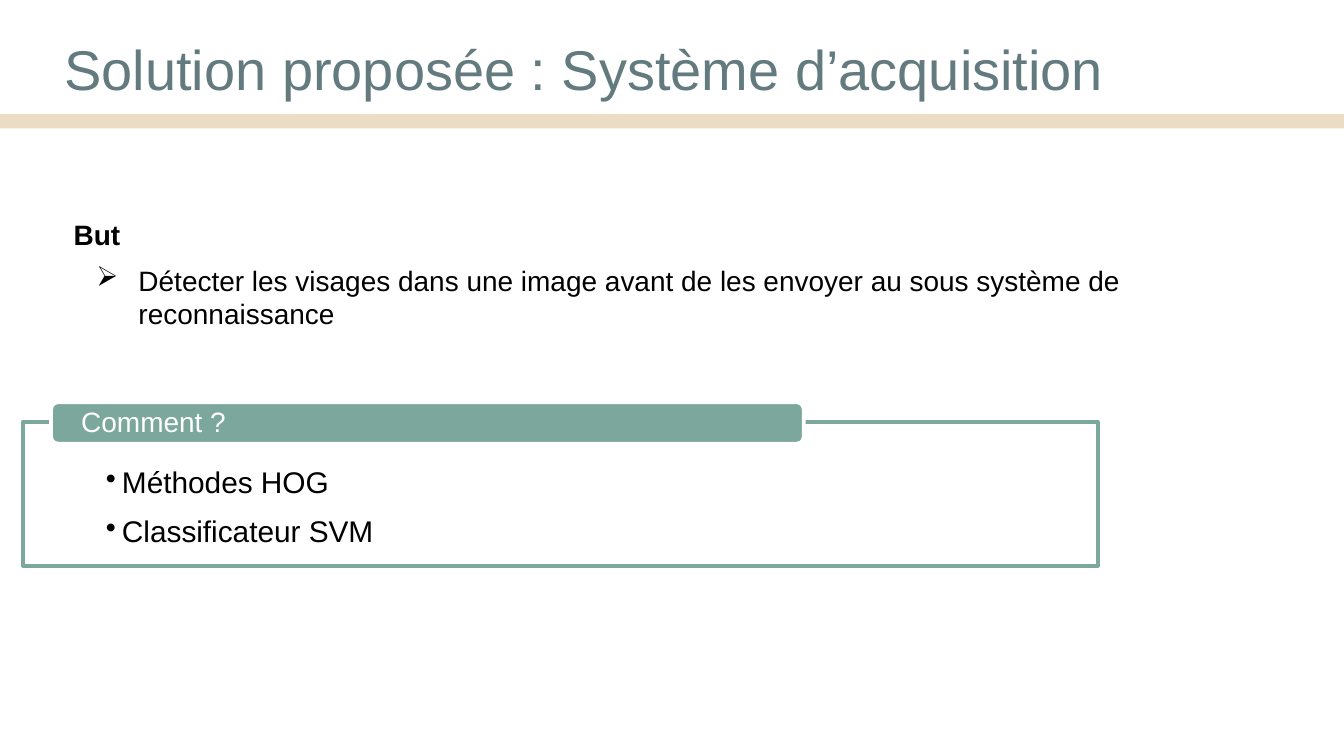
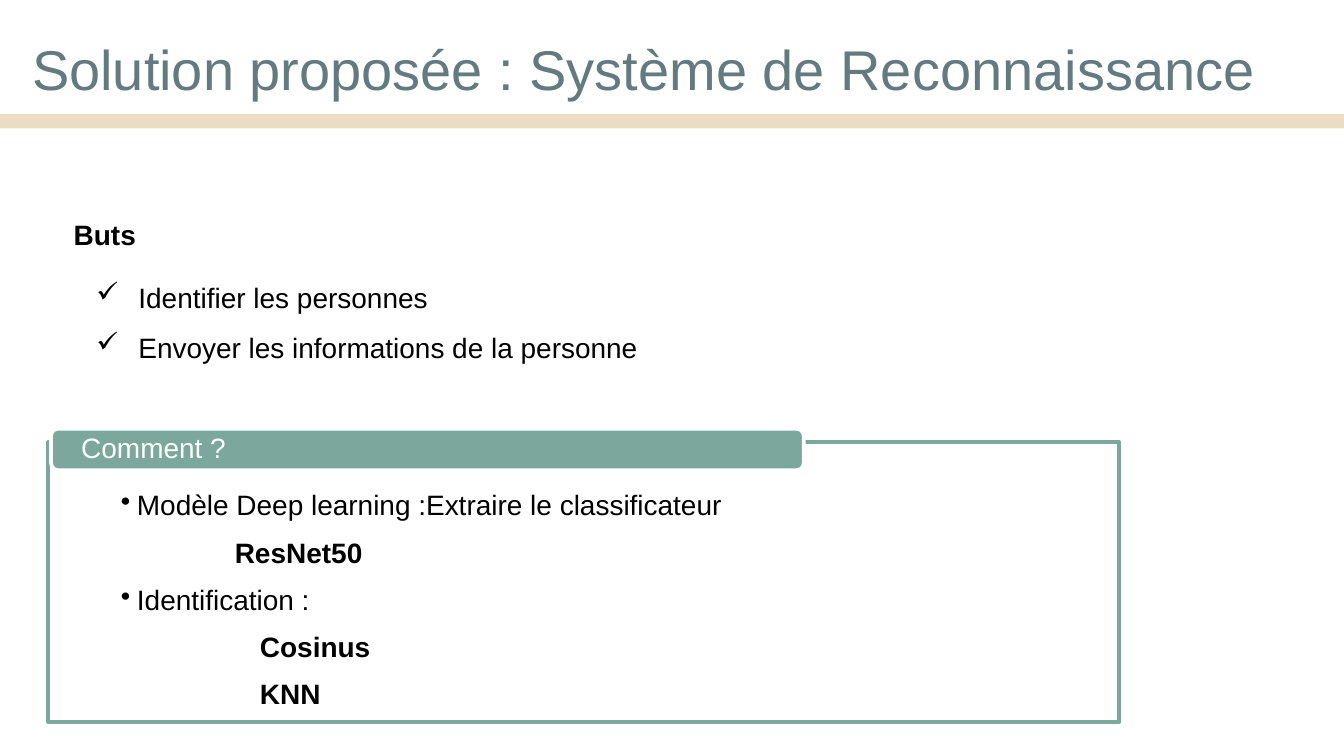
"""Build two slides on a face recognition solution."""
from dataclasses import dataclass

from lxml.etree import SubElement
from pptx import Presentation
from pptx.dml.color import RGBColor
from pptx.enum.shapes import MSO_SHAPE
from pptx.enum.text import MSO_ANCHOR
from pptx.oxml.ns import qn
from pptx.util import Pt


@dataclass(frozen=True)
class Theme:
    """Hold the colours, font and type sizes."""
    font: str = "Arial"
    ink: str = "000000"
    paper: str = "FFFFFF"
    heading: str = "637B7F"
    band: str = "EBDDC3"
    accent: str = "7BA79D"
    title_size: int = 30
    text_size: int = 15
    method_size: int = 16


THEME = Theme()


def write(frame, text, size=THEME.text_size, color=THEME.ink, bold=False, bullet=None,
          margin=0, hanging=0, line=1.0, before=0, after=0):
    """Write one formatted paragraph into a text frame."""
    para = frame.paragraphs[0]
    if para.runs:
        para = frame.add_paragraph()
    para.line_spacing = line
    para.space_before, para.space_after = Pt(before), Pt(after)
    span = para.add_run()
    span.text = text
    span.font.name, span.font.size, span.font.bold = THEME.font, Pt(size), bold
    span.font.color.rgb = RGBColor.from_string(color)
    properties = para._p.get_or_add_pPr()
    properties.set("marL", str(Pt(margin)))
    properties.set("indent", str(Pt(-hanging)))
    if bullet:
        SubElement(properties, qn("a:buChar"), char=bullet)
    else:
        SubElement(properties, qn("a:buNone"))


class Slides:
    """Hold the deck, its style and the current page."""

    def __init__(self, theme):
        """Start an empty widescreen deck."""
        self.theme = theme
        self.deck = Presentation()
        self.deck.slide_width, self.deck.slide_height = Pt(720), Pt(405)
        self.page = None

    def open_page(self, title, left, width):
        """Add a page with its band and title."""
        self.page = self.deck.slides.add_slide(self.deck.slide_layouts[6])
        self.shape(MSO_SHAPE.RECTANGLE, (0, 61.2, 720, 7.6), self.theme.band)
        frame = self.text((left, 8.6, width, 45.4), (7.2, 10, 7.2, 0))
        write(frame, title, size=self.theme.title_size, color=self.theme.heading)

    def shape(self, kind, place, fill, line=None, opacity=None):
        """Draw a filled shape with an optional outline."""
        box = self.page.shapes.add_shape(kind, *map(Pt, place))
        box.shadow.inherit = False
        box.fill.solid()
        box.fill.fore_color.rgb = RGBColor.from_string(fill)
        if opacity:
            color = box.fill._xPr.find(qn("a:solidFill"))[0]
            SubElement(color, qn("a:alpha"), val=str(opacity * 1000))
        if line:
            box.line.color.rgb = RGBColor.from_string(line)
            box.line.width = Pt(2)
        else:
            box.line.fill.background()

    def text(self, place, insets=(7.2, 3.6, 7.2, 3.6), anchor=MSO_ANCHOR.TOP, wrap=True):
        """Add an empty text box and return its frame."""
        frame = self.page.shapes.add_textbox(*map(Pt, place)).text_frame
        frame.word_wrap, frame.vertical_anchor = wrap, anchor
        (frame.margin_left, frame.margin_top,
         frame.margin_right, frame.margin_bottom) = map(Pt, insets)
        return frame

    def goals(self, heading, items, bullet, width, height, line=1.0):
        """Write a bold heading with its bulleted goals."""
        frame = self.text((32.4, 113, 60, 25.2), wrap=False)
        write(frame, heading, bold=True)
        frame = self.text((44.6, 137.5, width, height))
        for item in items:
            write(frame, item, bullet=bullet, margin=22.5, hanging=22.5, line=line)

    def methods(self, panel, place, label_top, items, size):
        """Draw a labelled panel listing (text, indent) items, bold when indented."""
        self.shape(MSO_SHAPE.RECTANGLE, panel, self.theme.paper, self.theme.accent, opacity=90)
        frame = self.text(place, (44.6, 24.5, 44.6, 8.6))
        for item, indent in items:
            write(frame, item, size=size, bold=indent > 0, bullet=None if indent else "•",
                  margin=indent or 8.6, hanging=0 if indent else 8.6,
                  line=0.9, before=6, after=3)
        self.shape(MSO_SHAPE.ROUNDED_RECTANGLE, (27.4, label_top, 403.2, 22.2),
                   self.theme.accent, self.theme.paper)
        frame = self.text((28.4, label_top + 1, 401, 20.2), (15.1, 0, 15.1, 0),
                          anchor=MSO_ANCHOR.MIDDLE)
        write(frame, "Comment ?", color=self.theme.paper, line=0.9)


def main():
    """Build both pages and save the deck."""
    slides = Slides(THEME)

    slides.open_page("Solution proposée : Système d’acquisition", 27.4, 671.8)
    slides.goals("But", ["Détecter les visages dans une image avant de les envoyer "
                         "au sous système de reconnaissance"], "➢", 625.7, 77.8)
    slides.methods((12.2, 226.1, 576, 77), (12.2, 226.1, 576, 64.8), 215.5,
                   [("Méthodes HOG", 0), ("Classificateur SVM", 0)], THEME.method_size)

    slides.open_page("Solution proposée : Système de Reconnaissance", 10.1, 706.3)
    slides.goals("Buts", ["Identifier les personnes",
                          "Envoyer les informations de la personne"], "✓", 403.2, 58.3, line=1.5)
    slides.methods((25.9, 236.9, 573.8, 149.8), (20.2, 239, 581, 154.8), 229.7,
                   [("Modèle Deep learning :Extraire le classificateur", 0),
                    ("ResNet50", 61), ("Identification :", 0),
                    ("Cosinus", 74.5), ("KNN", 74.5)], THEME.text_size)

    slides.deck.save("out.pptx")


if __name__ == "__main__":
    main()
